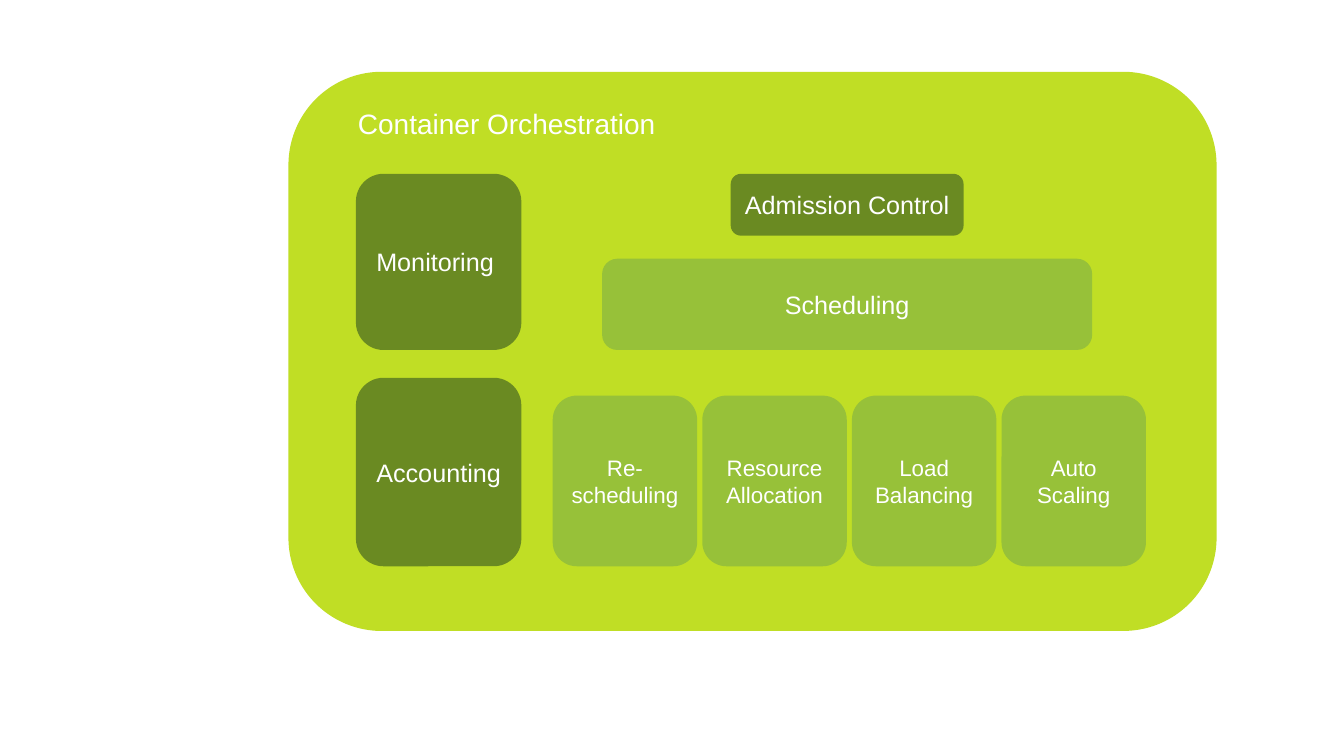
import pptx
import pptx.util
import pptx.dml.color
import pptx.enum.shapes
import pptx.enum.text

# Content
TITLE = "Container Orchestration"
SERVICES = [("Monitoring ", 4.38, 4.44), ("Accounting", 9.52, 4.75)]  # label, top, height
SCHEDULERS = [  # label, top, width, height, colour
    ("Scheduling", 6.52, 12.35, 2.3, "mid"),
    ("Admission Control", 4.38, 5.87, 1.56, "dark"),
]
FUNCTIONS = ["Re-\vscheduling", "Resource\vAllocation", "Load Balancing", "Auto Scaling"]

COLOURS = {"panel": "C0DE25", "dark": "6A8A22", "mid": "97C139", "text": "FFFFFF"}
FONT = "Arial"

# Layout in centimetres
SERVICE_LEFT, SERVICE_WIDTH = 8.97, 4.17
SCHEDULER_CENTRE = 21.35
TILE_LEFT, TILE_TOP, TILE_WIDTH, TILE_HEIGHT, TILE_GAP = 13.93, 9.97, 3.64, 4.3, 0.13

Cm = pptx.util.Cm


def colour(name):
    return pptx.dml.color.RGBColor.from_string(COLOURS[name])


def write(tf, text, size):
    p = tf.paragraphs[0]
    p.text = text
    p.font.name = FONT
    p.font.size = pptx.util.Pt(size)
    p.font.color.rgb = colour("text")
    return p


def add_block(shapes, left, top, width, height, fill, text="", size=18):
    sp = shapes.add_shape(pptx.enum.shapes.MSO_SHAPE.ROUNDED_RECTANGLE,
                          Cm(left), Cm(top), Cm(width), Cm(height))
    sp.shadow.inherit = False
    sp.fill.solid()
    sp.fill.fore_color.rgb = colour(fill)
    sp.line.fill.background()
    if text:
        tf = sp.text_frame
        tf.word_wrap = True
        tf.vertical_anchor = pptx.enum.text.MSO_ANCHOR.MIDDLE
        write(tf, text, size).alignment = pptx.enum.text.PP_ALIGN.CENTER


def main():
    prs = pptx.Presentation()
    prs.slide_width, prs.slide_height = Cm(33.87), Cm(19.05)
    shapes = prs.slides.add_slide(prs.slide_layouts[6]).shapes

    # Panel and title
    add_block(shapes, 7.27, 1.81, 23.39, 14.09, "panel")
    tf = shapes.add_textbox(Cm(8.77), Cm(2.57), Cm(8.08), Cm(1.11)).text_frame
    tf.word_wrap = False
    tf.auto_size = pptx.enum.text.MSO_AUTO_SIZE.SHAPE_TO_FIT_TEXT
    write(tf, TITLE, 20)

    # Services on the left
    for label, top, height in SERVICES:
        add_block(shapes, SERVICE_LEFT, top, SERVICE_WIDTH, height, "dark", label)

    # Row of functions
    for i, label in enumerate(FUNCTIONS):
        left = TILE_LEFT + i * (TILE_WIDTH + TILE_GAP)
        add_block(shapes, left, TILE_TOP, TILE_WIDTH, TILE_HEIGHT, "mid", label, 16)

    # Centred scheduling blocks
    for label, top, width, height, fill in SCHEDULERS:
        add_block(shapes, SCHEDULER_CENTRE - width / 2, top, width, height, fill, label)

    prs.save("out.pptx")


if __name__ == "__main__":
    main()
